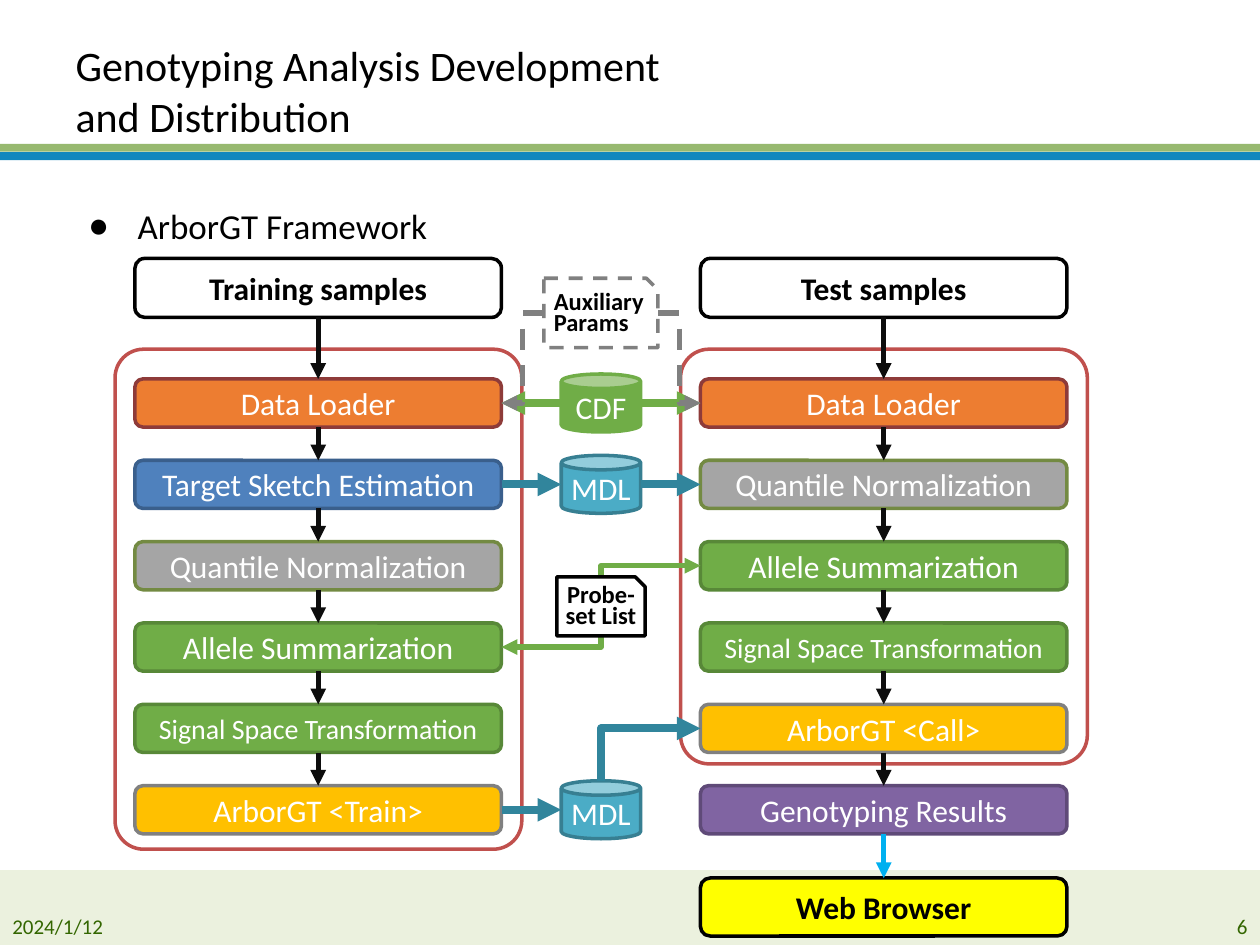
import lxml.etree
import pptx
import pptx.dml.color
import pptx.enum.dml
import pptx.enum.shapes
import pptx.enum.text
import pptx.oxml.ns
import pptx.util

Cm = pptx.util.Cm
Pt = pptx.util.Pt
RGBColor = pptx.dml.color.RGBColor
KIND = pptx.enum.shapes.MSO_SHAPE
JOIN = pptx.enum.shapes.MSO_CONNECTOR
ALIGN = pptx.enum.text.PP_ALIGN
ANCHOR = pptx.enum.text.MSO_ANCHOR
DASH = pptx.enum.dml.MSO_LINE.DASH
qn = pptx.oxml.ns.qn

BLACK = RGBColor(0x00, 0x00, 0x00)
WHITE = RGBColor(0xFF, 0xFF, 0xFF)
INK = RGBColor(0x0D, 0x0D, 0x0D)
GRAY = RGBColor(0x80, 0x80, 0x80)
RED = RGBColor(0xC0, 0x50, 0x4D)
GREEN = RGBColor(0x70, 0xAD, 0x47)
TEAL = RGBColor(0x31, 0x85, 0x9C)
SKY = RGBColor(0x00, 0xB0, 0xF0)
YELLOW = RGBColor(0xFF, 0xFF, 0x00)
LEAF = RGBColor(0x33, 0x66, 0x00)
BAR_BLUE = RGBColor(0x11, 0x87, 0xBE)
BAR_GREEN = RGBColor(0x97, 0xB9, 0x70)
FOOT = RGBColor(0xEB, 0xF1, 0xDE)
ORANGE, RUST = RGBColor(0xED, 0x7D, 0x31), RGBColor(0x8E, 0x3B, 0x39)
BLUE, NAVY = RGBColor(0x4F, 0x81, 0xBD), RGBColor(0x3A, 0x5F, 0x8C)
SILVER, OLIVE = RGBColor(0xA5, 0xA5, 0xA5), RGBColor(0x73, 0x8A, 0x42)
MOSS = RGBColor(0x58, 0x88, 0x38)
GOLD = RGBColor(0xFF, 0xC0, 0x00)
PURPLE, PLUM = RGBColor(0x80, 0x64, 0xA2), RGBColor(0x5F, 0x4A, 0x78)
AQUA, DEEP = RGBColor(0x4B, 0xAC, 0xC6), RGBColor(0x37, 0x7F, 0x92)

LOAD = ("Data Loader", ORANGE, RUST, 18)
SKETCH = ("Target Sketch Estimation", BLUE, NAVY, 18)
NORM = ("Quantile Normalization", SILVER, OLIVE, 18)
SUM = ("Allele Summarization", GREEN, MOSS, 18)
SPACE = ("Signal Space Transformation", GREEN, MOSS, 16)
TRAIN = ("ArborGT <Train>", GOLD, GRAY, 18)
CALL = ("ArborGT <Call>", GOLD, GRAY, 18)
RESULT = ("Genotyping Results", PURPLE, PLUM, 18)

WIDE, STEP, TALL = 7.39, 1.64, 0.97
HEAD, FIRST = 1.19, 2.43


def set_all(item, form):
    for key, value in form.items():
        setattr(item, key, value)


def write(frame, lines, size, color, bold=False, align=ALIGN.LEFT,
          anchor=ANCHOR.MIDDLE, lead=None, pads=None):
    set_all(frame, {"word_wrap": True, "vertical_anchor": anchor,
                    "auto_size": pptx.enum.text.MSO_AUTO_SIZE.NONE})
    set_all(frame, pads or {})
    frame.text = lines
    for para in frame.paragraphs:
        set_all(para, {"alignment": align, "space_before": Pt(0)})
        if lead:
            para.line_spacing = Pt(lead)
        font = para.runs[0].font
        set_all(font, {"name": "Calibri", "size": Pt(size), "bold": bold})
        font.color.rgb = color


def pad(left, top=0, right=0):
    return {"margin_left": Cm(left), "margin_right": Cm(right),
            "margin_top": Cm(top), "margin_bottom": Cm(top)}


def draw(slide, kind, area, fill, edge=None):
    shape = slide.shapes.add_shape(kind, *map(Cm, area))
    shape.shadow.inherit = False
    shape.fill.solid()
    shape.fill.fore_color.rgb = fill
    if edge is None:
        shape.line.fill.background()
    else:
        shape.line.color.rgb = edge
        shape.line.width = Pt(2)
    return shape


def label(slide, kind, area, text, fill, edge, size=18, color=WHITE, **form):
    shape = draw(slide, kind, area, fill, edge)
    write(shape.text_frame, text, size, color,
          **{"align": ALIGN.CENTER, **form})
    return shape


def arrow(slide, start, end, color, width, kind=JOIN.STRAIGHT, dash=None):
    line = slide.shapes.add_connector(kind, *map(Cm, start + end))
    line.line.color.rgb = color
    line.line.width = Pt(width)
    if dash:
        line.line.dash_style = dash
    tail = lxml.etree.SubElement(line.get_or_add_ln(), qn("a:tailEnd"))
    tail.set("type", "triangle")
    props = line._element.spPr
    lxml.etree.SubElement(props, qn("a:effectLst"))
    return line


def bend(slide, start, end, color, width):
    (x1, y1), (x2, y2) = start, end
    side = 1 if x2 > x1 else -1
    dx, dy = side * abs(y2 - y1) / 2, side * abs(x2 - x1) / 2
    mid_x, mid_y = (x1 + x2) / 2, (y1 + y2) / 2
    line = arrow(slide, (mid_x + dx, mid_y + dy), (mid_x - dx, mid_y - dy),
                 color, width, JOIN.ELBOW)
    props = line._element.spPr
    props.find(qn("a:xfrm")).set("rot", "5400000")
    props.find(qn("a:prstGeom")).set("prst", "bentConnector2")


def link(slide, top, low, color=INK):
    line = arrow(slide, (0, 0), (0, 0), color, 3)
    line.begin_connect(top, 2)
    line.end_connect(low, 0)


def trim(slide):
    for top, high, color in ((3.07, 0.16, BAR_BLUE), (2.9, 0.16, BAR_GREEN),
                             (17.54, 1.51, FOOT)):
        draw(slide, KIND.RECTANGLE, (0, top, 25.4, high), color)
    for left, wide, text, align in ((0, 2.69, "2024/1/12", ALIGN.LEFT),
                                    (24.13, 1.27, "6", ALIGN.RIGHT)):
        note = slide.shapes.add_textbox(*map(Cm, (left, 18.29, wide, 0.76)))
        write(note.text_frame, text, 12, LEAF, align=align)


def words(slide):
    title, body = slide.placeholders
    for item, area in ((title, (1.27, 0.64, 13.39, 2.36)),
                       (body, (1.52, 3.99, 23.67, 12.8))):
        set_all(item, dict(zip(("left", "top", "width", "height"),
                               map(Cm, area))))
    write(title.text_frame,
          "Genotyping Analysis Development and Distribution", 24, BLACK)
    write(body.text_frame, "ArborGT Framework", 20, BLACK, anchor=ANCHOR.TOP)
    props = body.text_frame.paragraphs[0]._p.get_or_add_pPr()
    props.set("marL", str(Cm(1)))
    props.set("indent", str(Cm(-1)))
    for old in props.findall(qn("a:buChar")):
        props.remove(old)
    lxml.etree.SubElement(props, qn("a:buChar")).set("char", "●")


def column(slide, left, top, name, steps, high):
    frame = draw(slide, KIND.ROUNDED_RECTANGLE,
                 (left - 0.4, top + 1.83, 8.2, high), WHITE, RED)
    frame.adjustments[0] = 0.07
    last = label(slide, KIND.ROUNDED_RECTANGLE, (left, top, WIDE, HEAD),
                 name, WHITE, BLACK, color=BLACK, bold=True)
    for row, (text, fill, edge, size) in enumerate(steps):
        area = (left, top + FIRST + row * STEP, WIDE, TALL)
        box = label(slide, KIND.ROUNDED_RECTANGLE, area, text, fill, edge, size)
        link(slide, last, box)
        last = box
    return last


def center(slide, left, top, right):
    mid = (left + right) / 2
    rows = [top + FIRST + TALL / 2 + row * STEP for row in range(6)]
    wide, high = 1.6, 1.17
    near, far = mid - wide / 2, mid + wide / 2
    for row, text, fill, edge in ((0, "CDF", GREEN, GREEN),
                                  (1, "MDL", AQUA, DEEP),
                                  (5, "MDL", AQUA, DEEP)):
        label(slide, KIND.CAN, (near, rows[row] - high / 2, wide, high),
              text, fill, edge, pads=pad(0.1, 0.13, 0.1))
    for row, start, end, color in ((0, near, left, GREEN),
                                   (0, far, right, GREEN),
                                   (1, left, near, TEAL),
                                   (1, far, right, TEAL),
                                   (5, left, near, TEAL)):
        arrow(slide, (start, rows[row]), (end, rows[row]), color, 4.5)
    bend(slide, (mid, rows[5] - high / 2), (right, rows[4]), TEAL, 4.5)

    probe = top + 6.42
    bend(slide, (mid, probe + 1.19), (left, rows[3]), GREEN, 3)
    bend(slide, (mid, probe), (right, rows[2]), GREEN, 3)
    label(slide, KIND.SNIP_1_RECTANGLE, (mid - 0.89, probe, 1.78, 1.19),
          "Probe-set List", WHITE, BLACK, 14, BLACK, bold=True, lead=12,
          pads=pad(0.1))

    extra = top + 0.4
    note = label(slide, KIND.SNIP_1_RECTANGLE, (mid - 1.15, extra, 2.3, 1.4),
                 "Auxiliary\nParams", WHITE, GRAY, 14, BLACK, bold=True,
                 align=ALIGN.LEFT, lead=12, pads=pad(0.2))
    note.line.dash_style = DASH.DASH
    for start, end in ((mid - 1.15, left), (mid + 1.15, right)):
        arrow(slide, (start, extra + 0.7), (end, rows[0]), GRAY, 3,
              JOIN.ELBOW, DASH.DASH)


def main():
    deck = pptx.Presentation()
    set_all(deck, {"slide_width": Cm(25.4), "slide_height": Cm(19.05)})
    slide = deck.slides.add_slide(deck.slide_layouts[1])
    trim(slide)
    words(slide)
    left, right, top = 2.72, 14.12, 5.21
    column(slide, left, top, "Training samples",
           (LOAD, SKETCH, NORM, SUM, SPACE, TRAIN), 10.08)
    result = column(slide, right, top, "Test samples",
                    (LOAD, NORM, SUM, SPACE, CALL, RESULT), 8.36)
    web = label(slide, KIND.ROUNDED_RECTANGLE, (right, 17.7, WIDE, 1.17),
                "Web Browser", YELLOW, BLACK, color=BLACK, bold=True)
    link(slide, result, web, SKY)
    center(slide, left + WIDE, top, right)
    deck.save("out.pptx")


if __name__ == "__main__":
    main()
